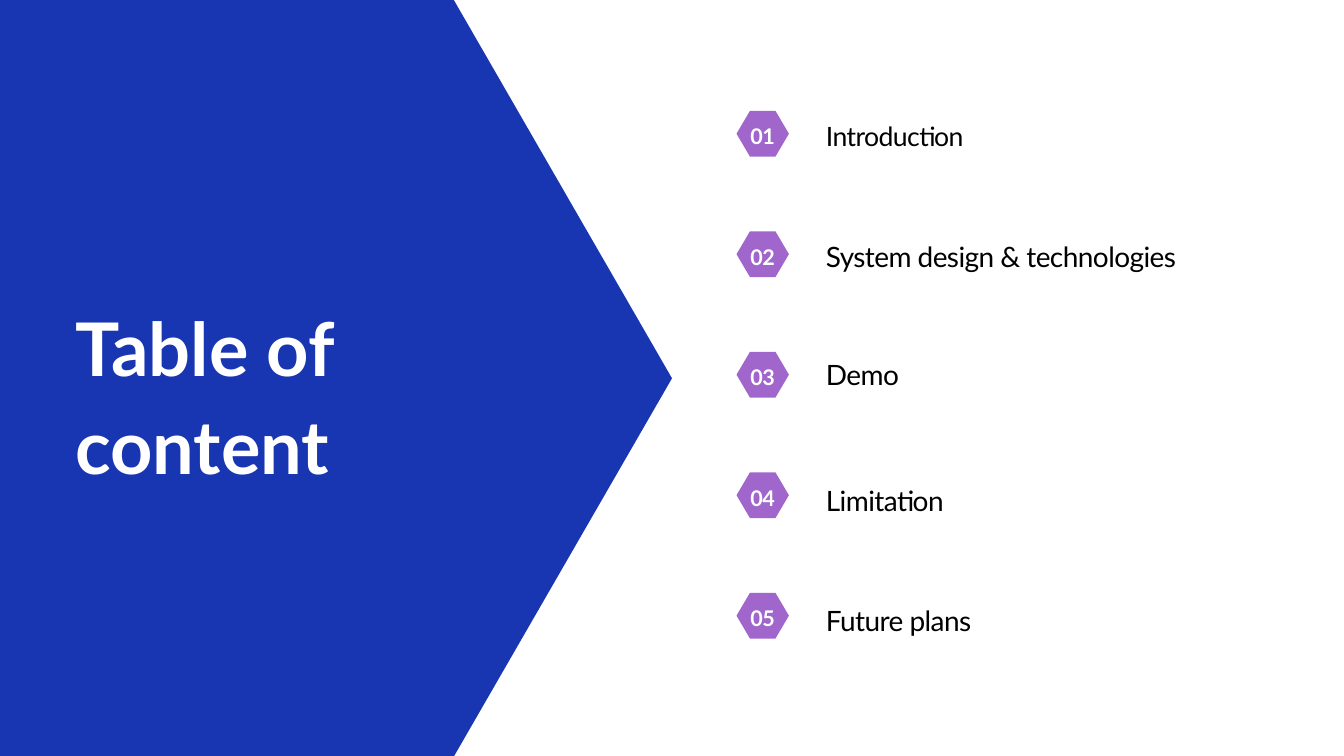
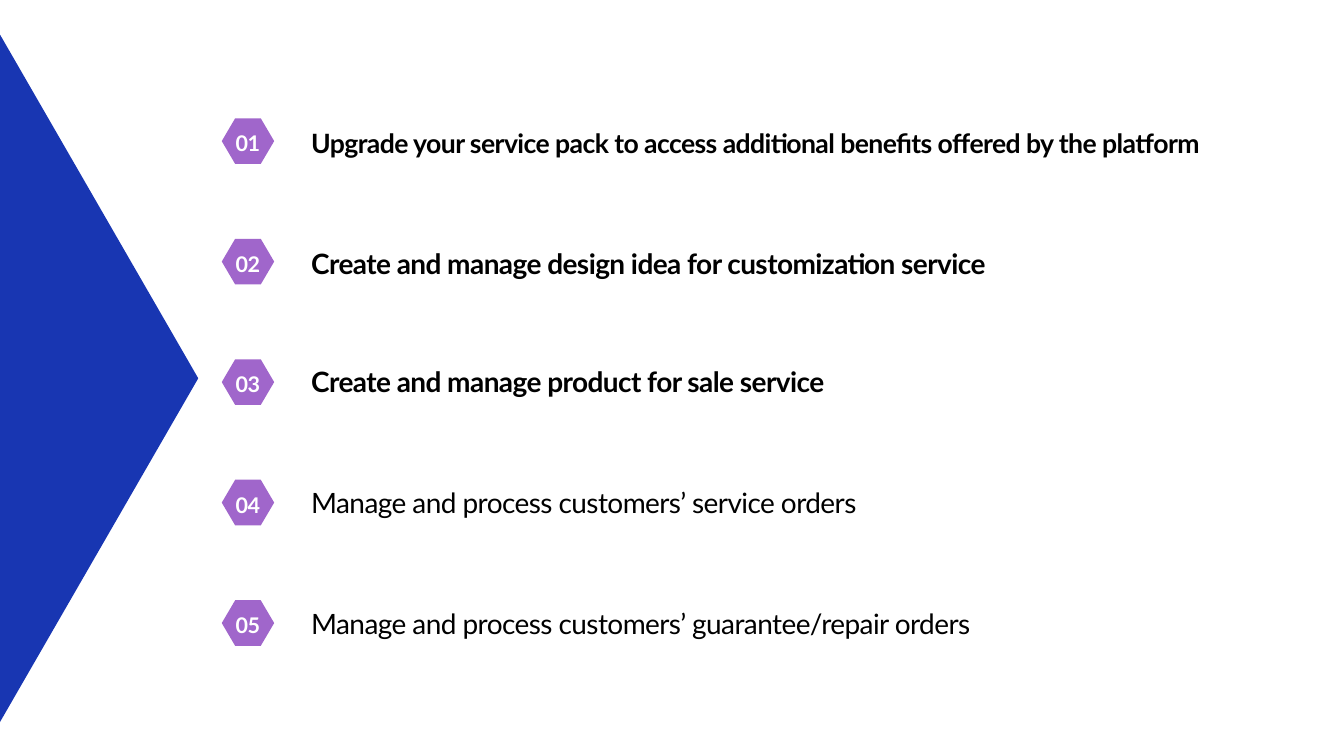
"""Builds an agenda slide and a list of platform features, both beside a large arrow."""
from pptx import Presentation
from pptx.dml.color import RGBColor
from pptx.enum.shapes import MSO_SHAPE
from pptx.enum.text import MSO_ANCHOR as Anchor, MSO_AUTO_SIZE as AutoSize, PP_ALIGN as Align
from pptx.util import Inches, Pt

COLORS = {"arrow": "1836B2", "badge": "A066CB", "light": "FFFFFF", "dark": "000000"}
FONT = "Lato"
WIDTH, HEIGHT = 20, 11.25
TITLE_ONLY, BLANK = 5, 6
ROW_STEP = 1.793
BADGE_WIDTH, BADGE_HEIGHT, BADGE_SLANT = 0.78, 0.68, 0.2
LABEL_INDENT = 1.33
ARROW_TOP, ARROW_HEIGHT, ARROW_SLANT = -2.19, 15.64, 4.51

# Each row: label, size, bold, drop below the badge top, label width
AGENDA = [
    ("Introduction", 28.5, False, 0.09, 6.3),
    ("System design & technologies", 30, False, 0.08, 5.61),
    ("Demo", 30, False, 0.04, 5.61),
    ("Limitation", 30, False, 0.12, 6.54),
    ("Future plans", 30, False, 0.12, 6.66),
]
FEATURES = [
    ("Upgrade your service pack to access additional benefits offered by the platform",
     28.5, True, 0.09, 14.24),
    ("Create and manage design idea for customization service", 30, True, 0.08, 10.22),
    ("Create and manage product for sale service", 30, True, 0.04, 7.85),
    ("Manage and process customers’ service orders", 30, False, 0.05, 8.54),
    ("Manage and process customers’ guarantee/repair orders", 30, False, 0.05, 10.93),
]


def write(shape, text, size, leading, color, bold=False, tracking=0, align=Align.LEFT):
    """Put one styled paragraph in a shape without margins."""
    frame = shape.text_frame
    frame.text = text
    frame.margin_left = frame.margin_right = frame.margin_top = frame.margin_bottom = 0
    frame.auto_size = AutoSize.NONE
    frame.vertical_anchor = Anchor.TOP
    frame.word_wrap = True
    paragraph = frame.paragraphs[0]
    paragraph.alignment = align
    paragraph.line_spacing = Pt(leading)
    run = paragraph.runs[0]
    run.font.name = FONT
    run.font.size = Pt(size)
    run.font.bold = bold
    run.font.color.rgb = RGBColor.from_string(COLORS[color])
    if tracking:
        run._r.get_or_add_rPr().set("spc", str(round(tracking * 100)))


def add_hexagon(slide, left, top, width, height, slant, color):
    """Draw a flat hexagon whose side points are slant inches deep."""
    box = [Inches(length) for length in (left, top, width, height)]
    shape = slide.shapes.add_shape(MSO_SHAPE.HEXAGON, *box)
    shape.adjustments[0] = slant / min(width, height)
    shape.shadow.inherit = False
    shape.fill.solid()
    shape.fill.fore_color.rgb = RGBColor.from_string(COLORS[color])
    shape.line.fill.background()
    return shape


def add_arrow(slide, left, width):
    """Draw the large hexagon that bleeds off the left edge."""
    add_hexagon(slide, left, ARROW_TOP, width, ARROW_HEIGHT, ARROW_SLANT, "arrow")


def add_badge(slide, left, top, number):
    """Draw a small numbered hexagon."""
    badge = add_hexagon(slide, left, top, BADGE_WIDTH, BADGE_HEIGHT, BADGE_SLANT, "badge")
    write(badge, f"{number:02d}", 23.1, 32.4, "light", True, -0.5, Align.CENTER)
    badge.text_frame.vertical_anchor = Anchor.MIDDLE
    badge.text_frame.word_wrap = False


def add_numbered_rows(slide, left, top, rows):
    """Stack evenly spaced badges with a label beside each."""
    for index, (text, size, bold, drop, width) in enumerate(rows):
        row_top = top + index * ROW_STEP
        add_badge(slide, left, row_top, index + 1)
        label = slide.shapes.add_textbox(
            Inches(left + LABEL_INDENT), Inches(row_top + drop),
            Inches(width), Inches(size * 1.3 / 72))
        write(label, text, size, size * 1.3, "dark", bold, -0.6)


def place_title(slide, text, left, top, width, height):
    """Move the title placeholder to the front and fill it."""
    title = slide.shapes.title
    title.left, title.top = Inches(left), Inches(top)
    title.width, title.height = Inches(width), Inches(height)
    write(title, text, 79.2, 105.4, "light", True)
    slide.shapes._spTree.append(title._element)


def main():
    """Build both slides and save the presentation."""
    presentation = Presentation()
    presentation.slide_width, presentation.slide_height = Inches(WIDTH), Inches(HEIGHT)
    layouts = presentation.slide_layouts

    agenda = presentation.slides.add_slide(layouts[TITLE_ONLY])
    add_arrow(agenda, -5.01, 15.01)
    place_title(agenda, "Table of content", 1.12, 4.36, 6.36, 2.89)
    add_numbered_rows(agenda, 10.96, 1.65, AGENDA)

    features = presentation.slides.add_slide(layouts[BLANK])
    add_arrow(features, -8.88, 11.83)
    add_numbered_rows(features, 3.3, 1.76, FEATURES)

    presentation.save("out.pptx")


if __name__ == "__main__":
    main()
